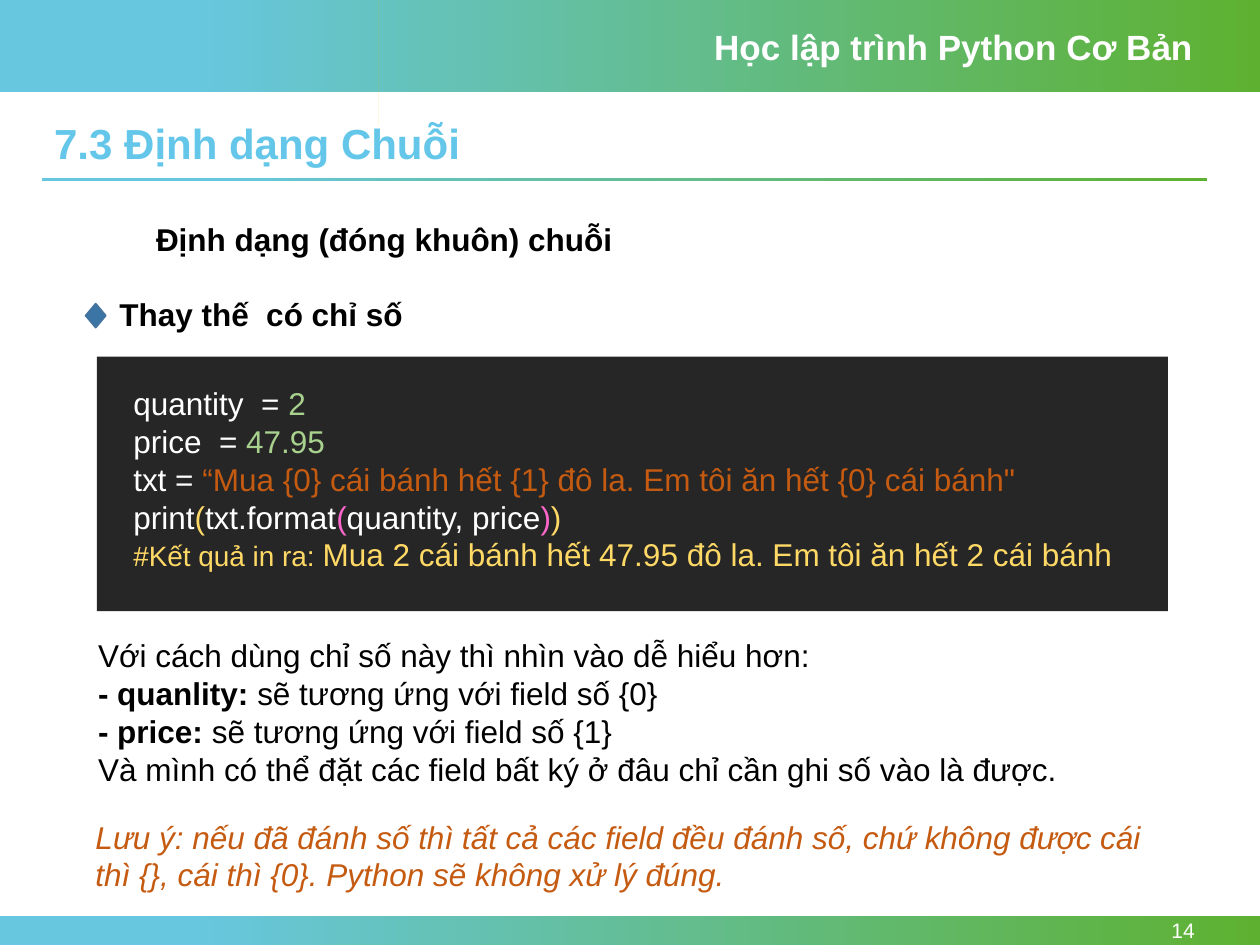
from pptx import Presentation
from pptx.dml.color import RGBColor
from pptx.enum.shapes import MSO_SHAPE
from pptx.enum.text import MSO_ANCHOR, MSO_AUTO_SIZE, PP_ALIGN
from pptx.util import Inches, Pt

RECTANGLE = MSO_SHAPE.RECTANGLE
DIAMOND = MSO_SHAPE.FLOWCHART_DECISION
TOP, MIDDLE = MSO_ANCHOR.TOP, MSO_ANCHOR.MIDDLE
LEFT, RIGHT = PP_ALIGN.LEFT, PP_ALIGN.RIGHT
NO_AUTOFIT = MSO_AUTO_SIZE.NONE
TITLE_ONLY = 5

COLORS = {
    "sky": "67C7DF", "leaf": "5EB130", "amber": "FFC500", "heading": "64C7E9",
    "white": "FFFFFF", "black": "000000", "panel": "262626",
    "number": "A9D18E", "string": "C55A11", "yellow": "FFD966", "pink": "FF66CC",
    "diamond": "3A75A6", "diamond_edge": "43739E",
}


def color(name):
    return RGBColor.from_string(COLORS[name])


class Page:
    font_name = "Arial"
    font_size = 18

    def __init__(self, deck):
        self.slide = deck.slides.add_slide(deck.slide_layouts[TITLE_ONLY])
        self.shapes = self.slide.shapes

    def style(self, span, name="black", size=None, bold=False, italic=False):
        font = span.font
        font.name = self.font_name
        font.size = Pt(size or self.font_size)
        font.bold = bold
        font.italic = italic
        font.color.rgb = color(name)

    def title(self, text, left, top, width, height):
        title = self.shapes.title
        title.left, title.top = Inches(left), Inches(top)
        title.width, title.height = Inches(width), Inches(height)
        frame = title.text_frame
        frame.text = text
        frame.word_wrap = True
        frame.auto_size = NO_AUTOFIT
        frame.vertical_anchor = TOP
        para = frame.paragraphs[0]
        para.alignment = LEFT
        para.line_spacing = 0.9
        self.style(para.runs[0], "heading", 24, bold=True)

    def shape(self, kind, left, top, width, height, fill, line=None):
        shape = self.shapes.add_shape(
            kind, Inches(left), Inches(top), Inches(width), Inches(height))
        shape.shadow.inherit = False
        shape.fill.solid()
        shape.fill.fore_color.rgb = color(fill)
        if line:
            shape.line.color.rgb = color(line)
            shape.line.width = Pt(1)
        else:
            shape.line.fill.background()
        return shape

    def gradient_bar(self, left, top, width, height):
        bar = self.shape(RECTANGLE, left, top, width, height, "sky")
        bar.fill.gradient()
        bar.fill.gradient_angle = 0
        stops = zip(bar.fill.gradient_stops, (0.15, 1), ("sky", "leaf"))
        for stop, position, name in stops:
            stop.position = position
            stop.color.rgb = color(name)

    def polygon(self, points, fill):
        builder = self.shapes.build_freeform(*points[0], scale=Inches(1))
        builder.add_line_segments(points[1:], close=True)
        outline = builder.convert_to_shape()
        outline.shadow.inherit = False
        outline.fill.solid()
        outline.fill.fore_color.rgb = color(fill)
        outline.line.fill.background()

    def text(self, left, top, width, height, lines, anchor=TOP, align=LEFT):
        box = self.shapes.add_textbox(
            Inches(left), Inches(top), Inches(width), Inches(height))
        frame = box.text_frame
        frame.word_wrap = True
        frame.vertical_anchor = anchor
        for index, line in enumerate(lines):
            para = frame.add_paragraph() if index else frame.paragraphs[0]
            para.alignment = align
            for text, look in line:
                if text == "\n":
                    para.add_line_break()
                    continue
                span = para.add_run()
                span.text = text
                self.style(span, **look)


def main():
    deck = Presentation()
    deck.slide_width, deck.slide_height = Inches(10), Inches(7.5)
    page = Page(deck)

    plain, strong = {}, {"bold": True}
    white, number, string, yellow, pink = (
        {"name": name} for name in ("white", "number", "string", "yellow", "pink"))

    page.gradient_bar(0, 0, 10, 0.73)
    page.gradient_bar(0, 7.27, 10, 0.23)
    page.gradient_bar(0.33, 1.41, 9.25, 0.03)
    page.polygon([(2.92, 0), (3.27, 0), (3.14, 0.73), (2.92, 0.73)], "amber")
    page.text(5.57, 0.15, 4, 0.44, [
        [("Học lập trình Python Cơ Bản", {"name": "white", "size": 20, "bold": True})],
    ])
    page.text(8.66, 7.27, 0.92, 0.23, [[("14", {"name": "white", "size": 12})]],
              anchor=MIDDLE, align=RIGHT)
    page.title("7.3 Định dạng Chuỗi", 0.33, 0.93, 9.25, 0.46)

    page.text(1.14, 1.7, 7.03, 0.4, [[("Định dạng (đóng khuôn) chuỗi", strong)]])
    page.shape(DIAMOND, 0.68, 2.41, 0.16, 0.19, "diamond", "diamond_edge")
    page.text(0.85, 2.29, 8.57, 0.4, [[("Thay thế  có chỉ số", strong)]])

    page.shape(RECTANGLE, 0.77, 2.83, 8.5, 2.02, "panel")
    page.text(0.96, 3, 8.1, 1.62, [
        [("quantity  = ", white), ("2", number)],
        [("price  = ", white), ("47.95", number)],
        [("txt = ", white),
         ("“Mua {0} cái bánh hết {1} đô la. Em tôi ăn hết {0} cái bánh\"", string),
         ("\n", plain),
         ("print", white), ("(", yellow), ("txt.format", white), ("(", pink),
         ("quantity, price", white), (")", pink), (")", yellow)],
        [("#Kết quả in ra: ", {"name": "yellow", "size": 16}),
         ("Mua 2 cái bánh hết 47.95 đô la. Em tôi ăn hết 2 cái bánh", yellow)],
    ])

    page.text(0.68, 5, 8.57, 1.31, [
        [("Với cách dùng chỉ số này thì nhìn vào dễ hiểu hơn:", plain)],
        [("- quanlity: ", strong), ("sẽ tương ứng với field số {0}", plain)],
        [("- price: ", strong), ("sẽ tương ứng với field số {1}", plain)],
        [("Và mình có thể đặt các field bất ký ở đâu chỉ cần ghi số vào là được.", plain)],
    ])
    page.text(0.66, 6.44, 8.57, 0.71, [
        [("Lưu ý: nếu đã đánh số thì tất cả các field đều đánh số, chứ không được "
          "cái thì {}, cái thì {0}. Python sẽ không xử lý đúng.",
          {"name": "string", "italic": True})],
    ])

    deck.save("out.pptx")


if __name__ == "__main__":
    main()
